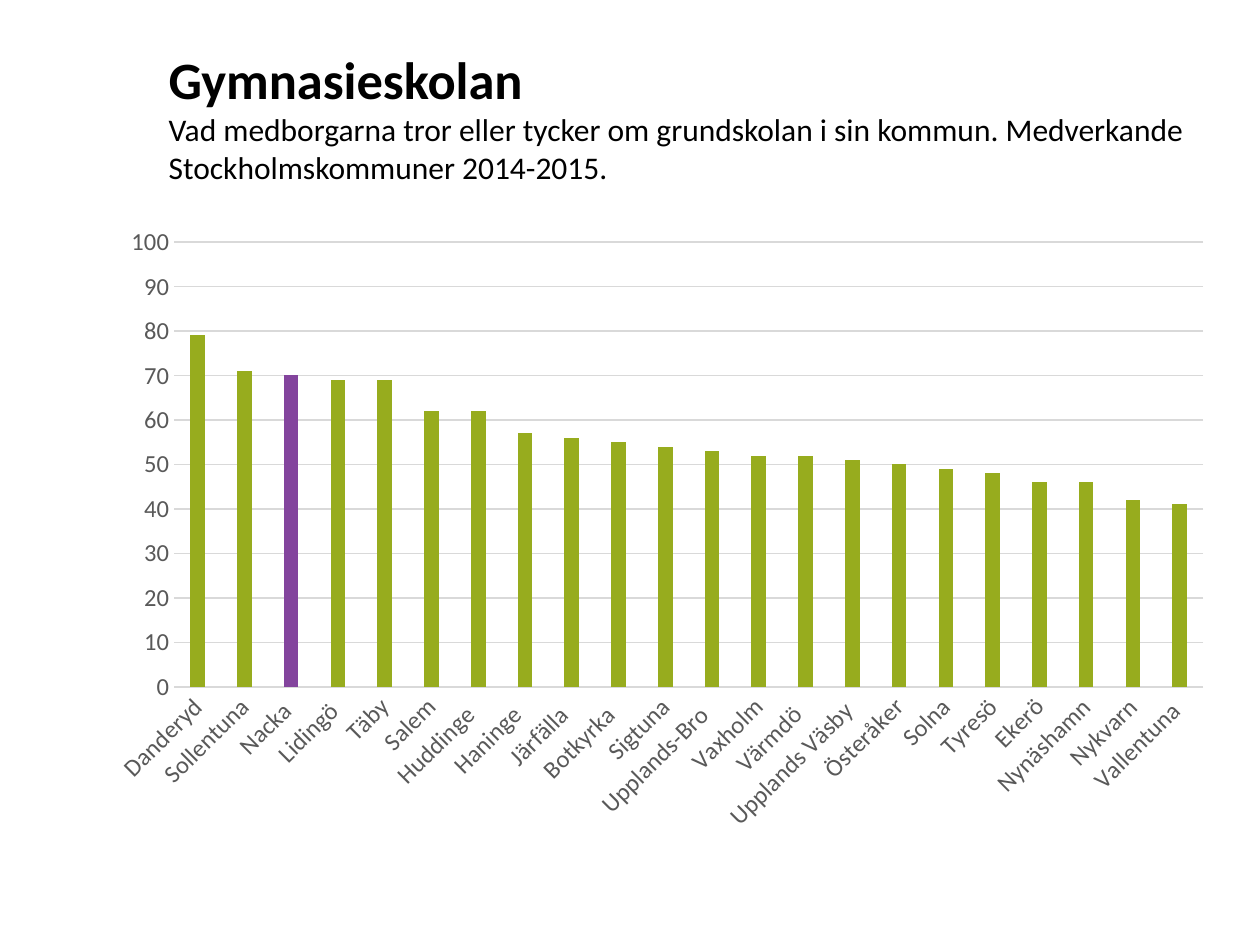
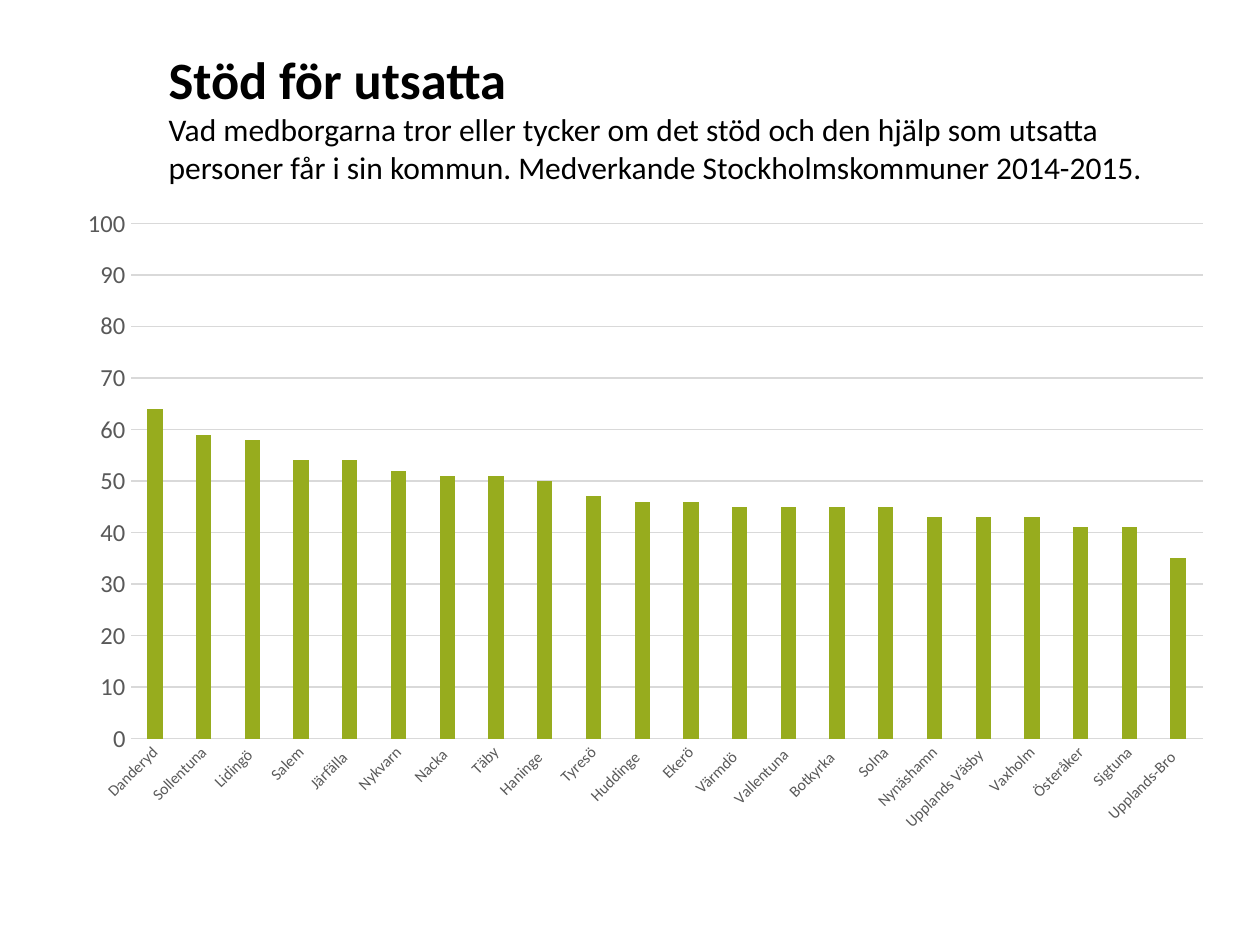
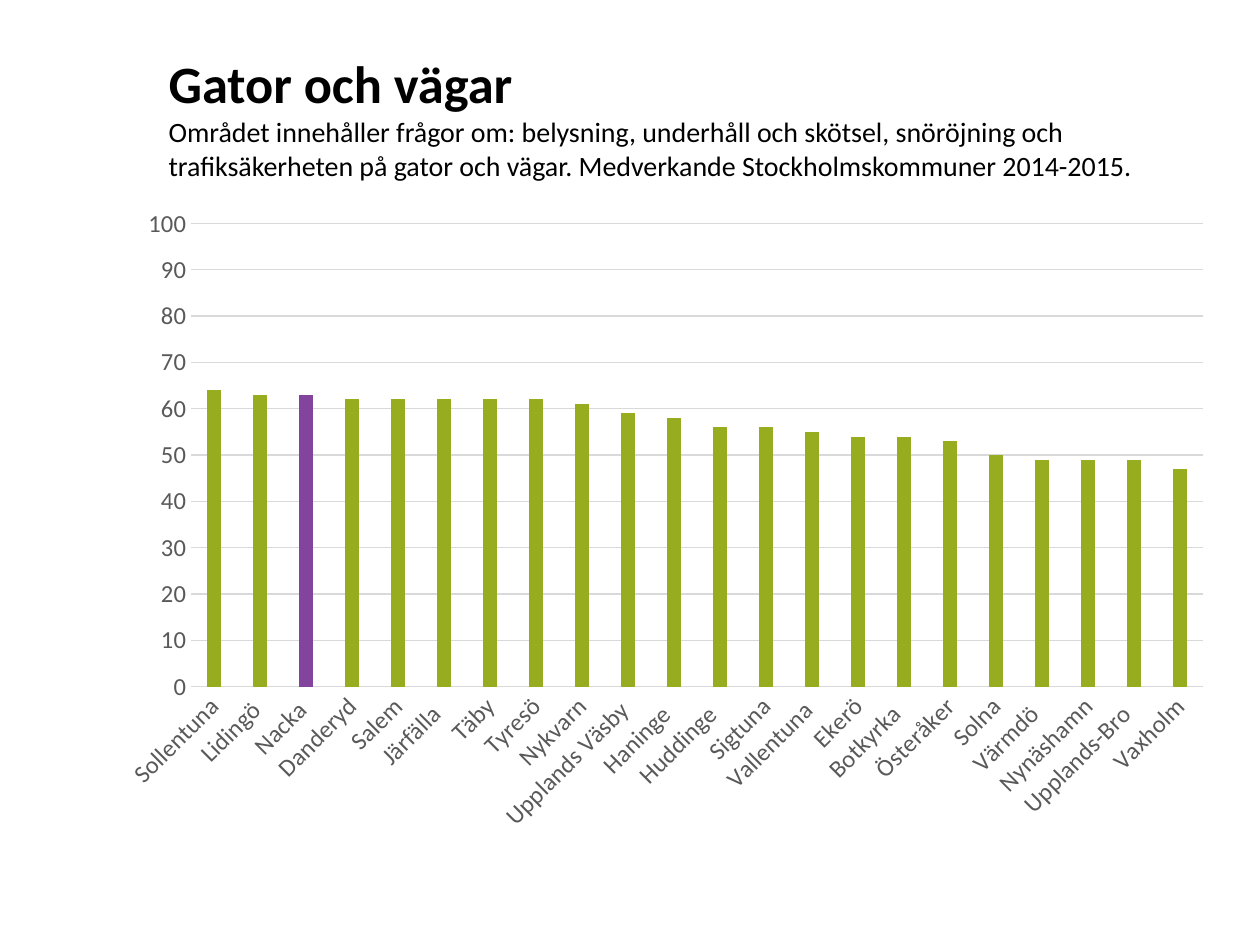
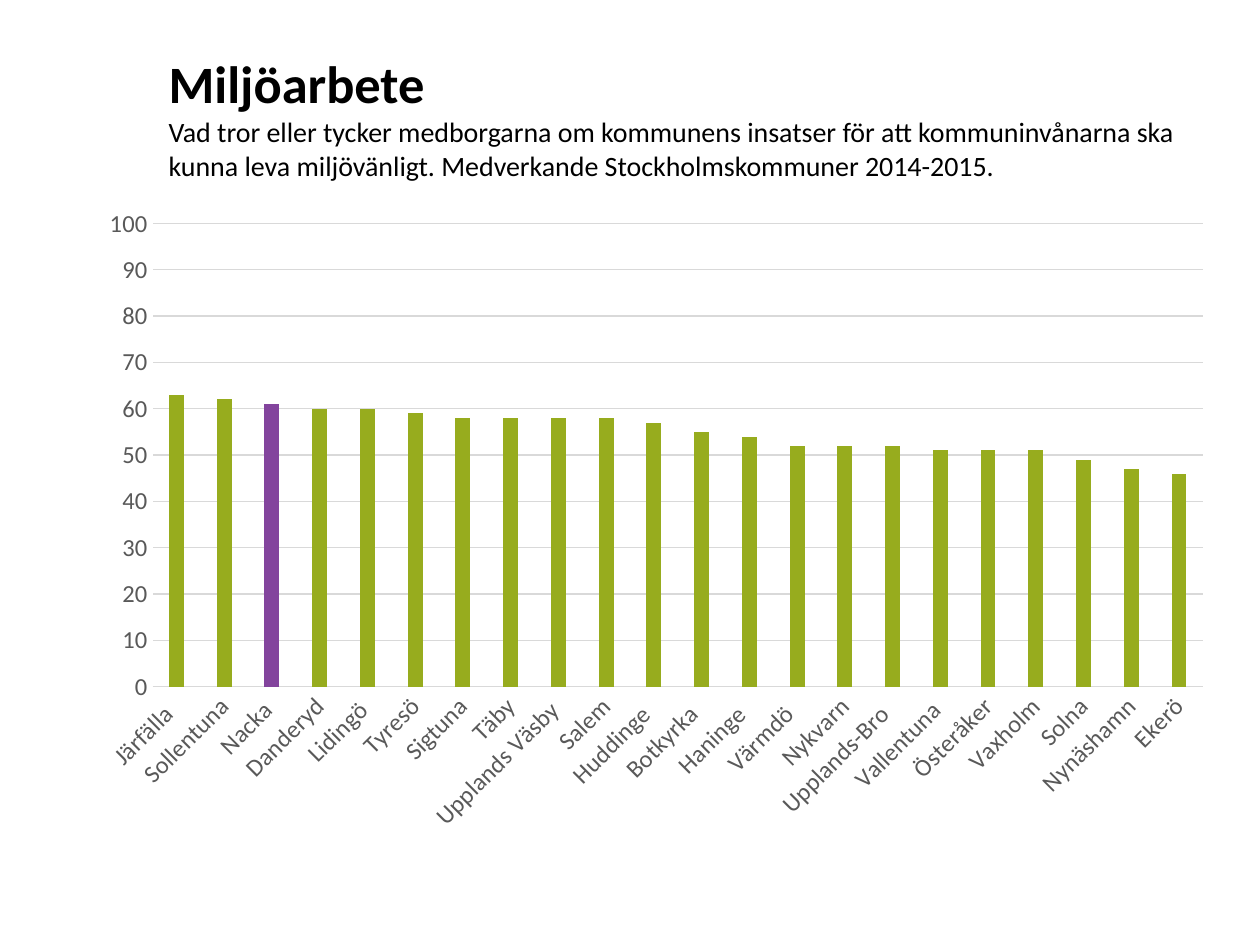
from dataclasses import dataclass

from pptx import Presentation
from pptx.chart.axis import CategoryAxis, ValueAxis
from pptx.chart.data import CategoryChartData
from pptx.dml.color import RGBColor
from pptx.dml.line import LineFormat
from pptx.enum.chart import XL_CHART_TYPE, XL_TICK_MARK
from pptx.enum.text import MSO_ANCHOR
from pptx.slide import Slide
from pptx.text.text import Font
from pptx.util import Cm, Pt

FONT = "Calibri"
BLACK = RGBColor(0x00, 0x00, 0x00)
GREY = RGBColor(0x59, 0x59, 0x59)
LIGHT_GREY = RGBColor(0xD9, 0xD9, 0xD9)
GREEN = RGBColor(0x97, 0xAC, 0x1E)
PURPLE = RGBColor(0x83, 0x44, 0x9D)

HEADING_LEFT, HEADING_TOP, HEADING_HEIGHT = Cm(3.15), Cm(0.76), Cm(3.18)
CONTENT_RIGHT = Cm(24.71)
CHART_BOTTOM = Cm(17.02)
SLANT_UP_45 = "-2700000"  # in 1/60000 degree
HOME = "Nacka "  # names keep the trailing spaces of the survey data


@dataclass(frozen=True)
class Survey:
    heading: str
    question: str
    scores: dict[str, int]
    chart_left: float
    chart_top: float = 3.94
    question_size: int = 18
    label_size: int = 14
    highlight_home: bool = True


SURVEYS = [
    Survey(
        "Gymnasieskolan",
        "Vad medborgarna tror eller tycker om grundskolan i sin kommun. "
        "Medverkande Stockholmskommuner 2014-2015.",
        {
            "Danderyd": 79, "Sollentuna": 71, HOME: 70, "Lidingö ": 69,
            "Täby": 69, "Salem": 62, "Huddinge  ": 62, "Haninge  ": 57,
            "Järfälla  ": 56, "Botkyrka  ": 55, "Sigtuna": 54,
            "Upplands-Bro  ": 53, "Vaxholm": 52, "Värmdö  ": 52,
            "Upplands Väsby ": 51, "Österåker": 50, "Solna": 49, "Tyresö": 48,
            "Ekerö": 46, "Nynäshamn": 46, "Nykvarn": 42, "Vallentuna ": 41,
        },
        chart_left=1.9,
        chart_top=4.32,
    ),
    Survey(
        "Stöd för utsatta",
        "Vad medborgarna tror eller tycker om det stöd och den hjälp som utsatta "
        "personer får i sin kommun. Medverkande Stockholmskommuner 2014-2015.",
        {
            "Danderyd": 64, "Sollentuna": 59, "Lidingö ": 58, "Salem": 54,
            "Järfälla  ": 54, "Nykvarn": 52, HOME: 51, "Täby": 51,
            "Haninge  ": 50, "Tyresö": 47, "Huddinge  ": 46, "Ekerö": 46,
            "Värmdö  ": 45, "Vallentuna ": 45, "Botkyrka  ": 45, "Solna": 45,
            "Nynäshamn": 43, "Upplands Väsby ": 43, "Vaxholm": 43,
            "Österåker": 41, "Sigtuna": 41, "Upplands-Bro  ": 35,
        },
        chart_left=1.3,
        label_size=9,
        highlight_home=False,
    ),
    Survey(
        "Gator och vägar",
        "Området innehåller frågor om: belysning, underhåll och skötsel, snöröjning "
        "och trafiksäkerheten på gator och vägar. "
        "Medverkande Stockholmskommuner 2014-2015.",
        {
            "Sollentuna": 64, "Lidingö ": 63, HOME: 63, "Danderyd": 62,
            "Salem": 62, "Järfälla  ": 62, "Täby": 62, "Tyresö": 62,
            "Nykvarn": 61, "Upplands Väsby ": 59, "Haninge  ": 58,
            "Huddinge  ": 56, "Sigtuna": 56, "Vallentuna ": 55, "Ekerö": 54,
            "Botkyrka  ": 54, "Österåker": 53, "Solna": 50, "Värmdö  ": 49,
            "Nynäshamn": 49, "Upplands-Bro  ": 49, "Vaxholm": 47,
        },
        chart_left=2.11,
        question_size=16,
    ),
    Survey(
        "Miljöarbete",
        "Vad tror eller tycker medborgarna om kommunens insatser för att "
        "kommuninvånarna ska kunna leva miljövänligt. "
        "Medverkande Stockholmskommuner 2014-2015.",
        {
            "Järfälla  ": 63, "Sollentuna": 62, HOME: 61, "Danderyd": 60,
            "Lidingö ": 60, "Tyresö": 59, "Sigtuna": 58, "Täby": 58,
            "Upplands Väsby ": 58, "Salem": 58, "Huddinge  ": 57,
            "Botkyrka  ": 55, "Haninge  ": 54, "Värmdö  ": 52, "Nykvarn": 52,
            "Upplands-Bro  ": 52, "Vallentuna ": 51, "Österåker": 51,
            "Vaxholm": 51, "Solna": 49, "Nynäshamn": 47, "Ekerö": 46,
        },
        chart_left=1.7,
        question_size=16,
    ),
]


def style_font(font: Font, size: int, color: RGBColor, bold: bool = False) -> None:
    font.name = FONT
    font.size = Pt(size)
    font.bold = bold
    font.color.rgb = color


def add_text(paragraph, text: str, *, size: int, color: RGBColor = BLACK,
             bold: bool = False) -> None:
    run = paragraph.add_run()
    run.text = text
    style_font(run.font, size, color, bold)


def add_heading(slide: Slide, survey: Survey) -> None:
    frame = slide.shapes.add_textbox(
        HEADING_LEFT, HEADING_TOP, CONTENT_RIGHT - HEADING_LEFT, HEADING_HEIGHT
    ).text_frame
    frame.word_wrap = True
    frame.vertical_anchor = MSO_ANCHOR.MIDDLE
    paragraph = frame.paragraphs[0]
    add_text(paragraph, survey.heading, size=30, bold=True)
    paragraph.add_line_break()
    add_text(paragraph, survey.question, size=survey.question_size)


def style_axis(axis: CategoryAxis | ValueAxis, label_size: int) -> None:
    axis.major_tick_mark = axis.minor_tick_mark = XL_TICK_MARK.NONE
    style_font(axis.tick_labels.font, label_size, GREY)


def style_line(line: LineFormat) -> None:
    line.color.rgb = LIGHT_GREY
    line.width = Pt(0.75)


def add_score_chart(slide: Slide, survey: Survey) -> None:
    data = CategoryChartData()
    data.categories = list(survey.scores)
    data.add_series("Series 1", list(survey.scores.values()))
    left, top = Cm(survey.chart_left), Cm(survey.chart_top)
    chart = slide.shapes.add_chart(
        XL_CHART_TYPE.COLUMN_CLUSTERED, left, top,
        CONTENT_RIGHT - left, CHART_BOTTOM - top, data,
    ).chart
    chart.has_title = chart.has_legend = False
    style_font(chart.font, 10, BLACK)

    municipalities = chart.category_axis
    style_axis(municipalities, survey.label_size)
    style_line(municipalities.format.line)
    municipalities._element.txPr.bodyPr.set("rot", SLANT_UP_45)

    grades = chart.value_axis
    style_axis(grades, 14)
    grades.minimum_scale, grades.maximum_scale, grades.major_unit = 0, 100, 10
    grades.format.line.fill.background()
    style_line(grades.major_gridlines.format.line)

    plot = chart.plots[0]
    plot.vary_by_categories = False
    plot.gap_width, plot.overlap = 219, -27
    bars = plot.series[0]
    bars.format.fill.solid()
    bars.format.fill.fore_color.rgb = GREEN
    if survey.highlight_home:
        home_fill = bars.points[list(survey.scores).index(HOME)].format.fill
        home_fill.solid()
        home_fill.fore_color.rgb = PURPLE


def main() -> None:
    presentation = Presentation()
    presentation.slide_width, presentation.slide_height = Cm(25.4), Cm(19.05)
    blank = presentation.slide_layouts[6]
    for survey in SURVEYS:
        slide = presentation.slides.add_slide(blank)
        add_heading(slide, survey)
        add_score_chart(slide, survey)
    presentation.save("out.pptx")


if __name__ == "__main__":
    main()
